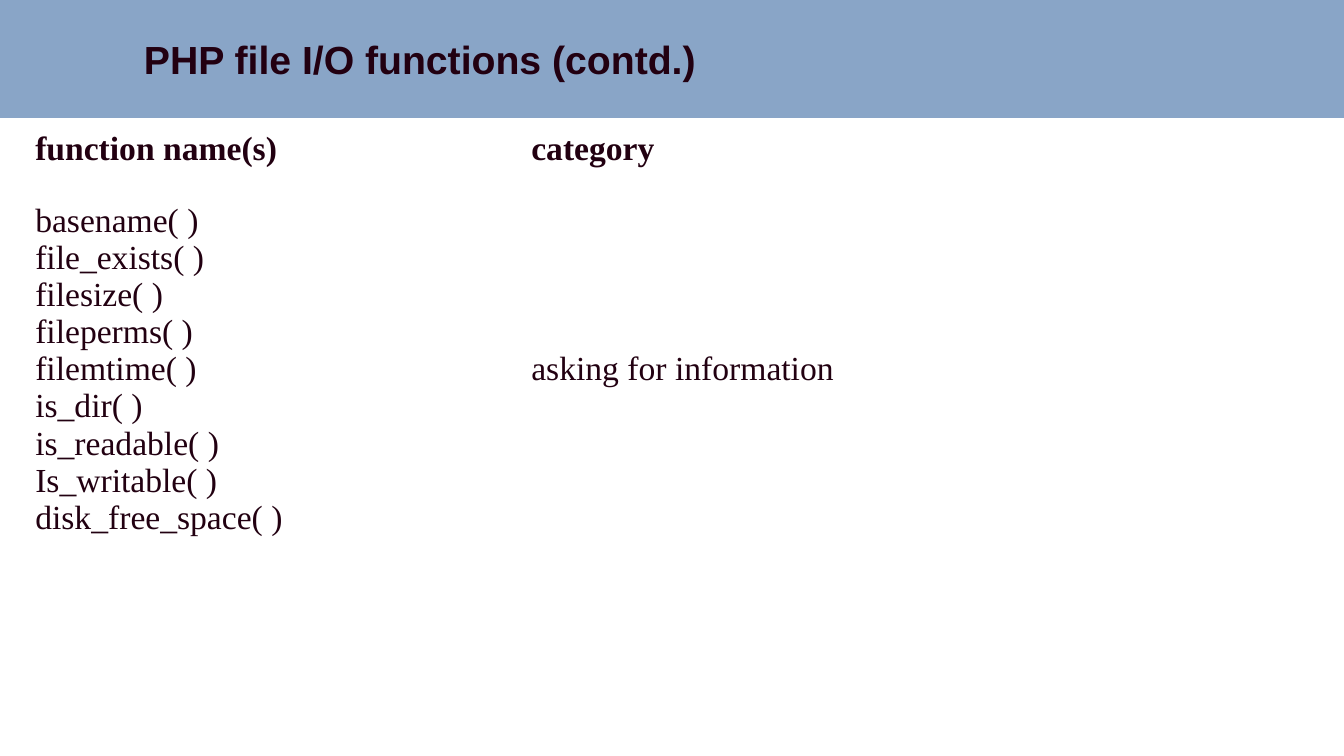
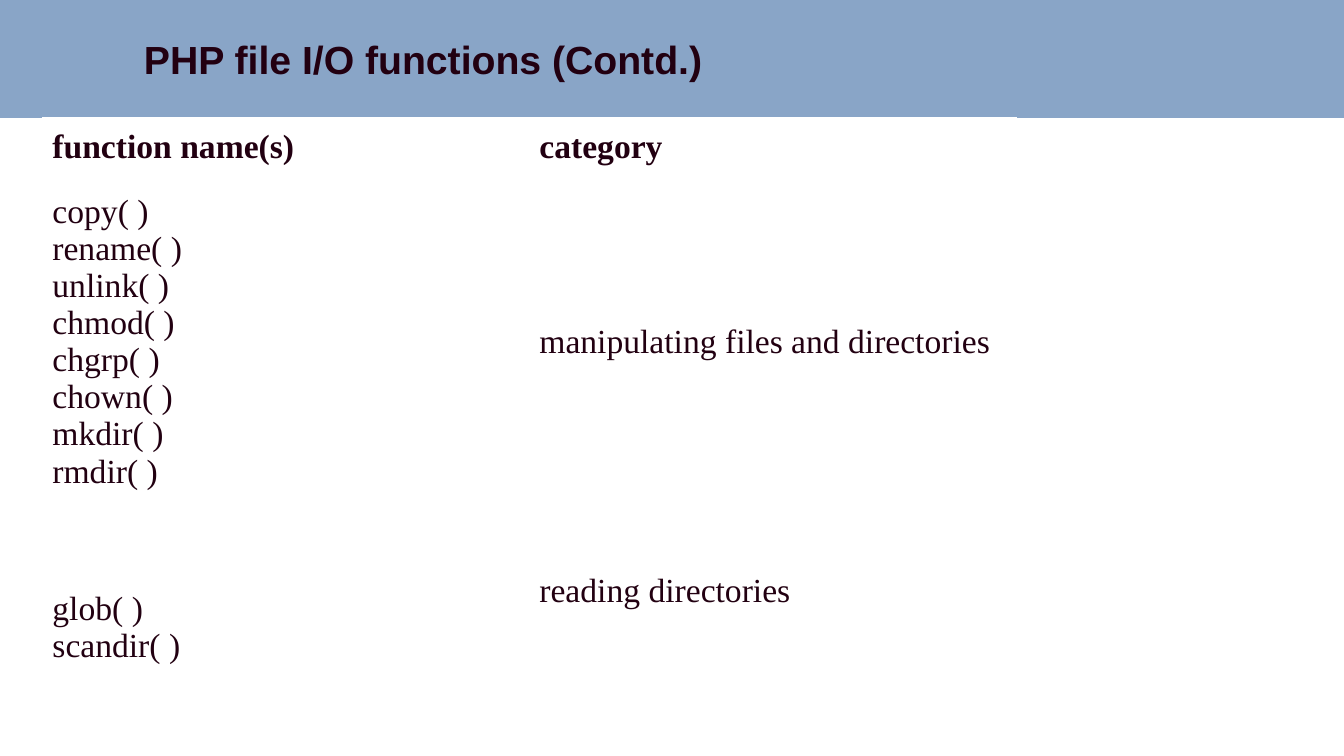
"""Build two slides that list PHP file functions by category."""
from dataclasses import dataclass

import lxml.etree
import pptx
import pptx.dml.color
import pptx.enum.shapes
import pptx.enum.text
import pptx.oxml.ns
import pptx.presentation
import pptx.shapes.autoshape
import pptx.slide
import pptx.table
import pptx.text.text
import pptx.util

Inches = pptx.util.Inches
RGBColor = pptx.dml.color.RGBColor
qn = pptx.oxml.ns.qn

BAND_BLUE = RGBColor(0x89, 0xA5, 0xC7)
INK = RGBColor(0x22, 0x00, 0x11)
WHITE = RGBColor(0xFF, 0xFF, 0xFF)
SLIDE_WIDTH, SLIDE_HEIGHT = Inches(13.33), Inches(7.5)
BAND_HEIGHT = Inches(1.17)
CELL_MARGIN = Inches(0.05)


@dataclass(frozen=True)
class Group:
    """Functions that share a category, with the row height they need."""
    functions: list[str]
    category: str
    height: float
    lead: float = 0


@dataclass(frozen=True)
class FunctionSlide:
    """Title, table frame and groups of one slide."""
    title: str
    left: float
    top: float
    column_width: float
    header_height: float
    groups: list[Group]


SLIDES = [
    FunctionSlide("PHP file I/O functions (contd.)", 0.25, 1.19, 4.92, 0.58, [
        Group(["basename( )", "file_exists( )", "filesize( )", "fileperms( )",
               "filemtime( )", "is_dir( )", "is_readable( )",
               "Is_writable( )", "disk_free_space( )"],
              "asking for information", 3.79),
    ]),
    FunctionSlide("PHP file I/O functions (Contd.)", 0.42, 1.17, 4.83, 0.57, [
        Group(["copy( )", "rename( )", "unlink( )", "chmod( )", "chgrp( )",
               "chown( )", "mkdir( )", "rmdir( )"],
              "manipulating files and directories", 3.05),
        Group(["glob( )", "scandir( )"], "reading directories", 1.58, lead=0.74),
    ]),
]


def write_text(frame: pptx.text.text.TextFrame, lines: list[str], *,
               font: str = "Times New Roman", size: int = 24,
               bold: bool = False, shadow: bool = False) -> None:
    """Write one formatted paragraph for each line."""
    frame.word_wrap = True
    for index, line in enumerate(lines):
        paragraph = frame.add_paragraph() if index else frame.paragraphs[0]
        run = paragraph.add_run()
        run.text = line
        run.font.name, run.font.size = font, pptx.util.Pt(size)
        run.font.bold = bold
        run.font.color.rgb = INK
        if shadow:
            add_text_shadow(run)


def add_text_shadow(run: pptx.text.text._Run) -> None:
    """Give a run a small dark shadow."""
    effects = lxml.etree.Element(qn("a:effectLst"))
    shadow = lxml.etree.SubElement(effects, qn("a:outerShdw"), blurRad="38100",
                                   dist="38100", dir="2700000", algn="tl")
    lxml.etree.SubElement(shadow, qn("a:srgbClr"), val="000000")
    run.font._element.find(qn("a:solidFill")).addnext(effects)


def add_title_band(slide: pptx.slide.Slide, title: str) -> None:
    """Draw the blue band and its title."""
    band = slide.shapes.add_shape(pptx.enum.shapes.MSO_SHAPE.RECTANGLE,
                                  0, 0, SLIDE_WIDTH, BAND_HEIGHT)
    band.shadow.inherit = False
    band.fill.solid()
    band.fill.fore_color.rgb = BAND_BLUE
    band.line.fill.background()
    heading = slide.shapes.add_textbox(Inches(1.33), 0, Inches(12), BAND_HEIGHT)
    heading.text_frame.vertical_anchor = pptx.enum.text.MSO_ANCHOR.MIDDLE
    write_text(heading.text_frame, [title], font="Arial", size=28,
               bold=True, shadow=True)


def fill_cell(cell: pptx.table._Cell, lines: list[str], *,
              bold: bool = False, lead: float = 0) -> None:
    """Write a clear cell with thin white borders."""
    cell.vertical_anchor = pptx.enum.text.MSO_ANCHOR.MIDDLE
    cell.margin_top = CELL_MARGIN + Inches(lead)
    cell.margin_bottom = CELL_MARGIN
    properties = cell._tc.get_or_add_tcPr()
    for side in ("a:lnL", "a:lnR", "a:lnT", "a:lnB"):
        border = lxml.etree.SubElement(properties, qn(side),
                                       w=str(pptx.util.Pt(1)))
        paint = lxml.etree.SubElement(border, qn("a:solidFill"))
        lxml.etree.SubElement(paint, qn("a:srgbClr"), val=str(WHITE))
    cell.fill.background()
    write_text(cell.text_frame, lines, bold=bold)


def add_function_table(slide: pptx.slide.Slide, content: FunctionSlide) -> None:
    """Draw the table of function names and categories."""
    heights = [content.header_height] + [g.height for g in content.groups]
    table = slide.shapes.add_table(
        len(heights), 2, Inches(content.left), Inches(content.top),
        Inches(2 * content.column_width), Inches(sum(heights))).table
    table.first_row = table.horz_banding = False
    for column in table.columns:
        column.width = Inches(content.column_width)
    for row, height in zip(table.rows, heights):
        row.height = Inches(height)
    for column, heading in enumerate(("function name(s)", "category")):
        fill_cell(table.cell(0, column), [heading], bold=True)
    for row, group in enumerate(content.groups, start=1):
        fill_cell(table.cell(row, 0), group.functions, lead=group.lead)
        fill_cell(table.cell(row, 1), [group.category])


def main() -> None:
    """Build and save the presentation."""
    deck = pptx.Presentation()
    deck.slide_width, deck.slide_height = SLIDE_WIDTH, SLIDE_HEIGHT
    for content in SLIDES:
        slide = deck.slides.add_slide(deck.slide_layouts[6])
        add_title_band(slide, content.title)
        add_function_table(slide, content)
    deck.save("out.pptx")


if __name__ == "__main__":
    main()
